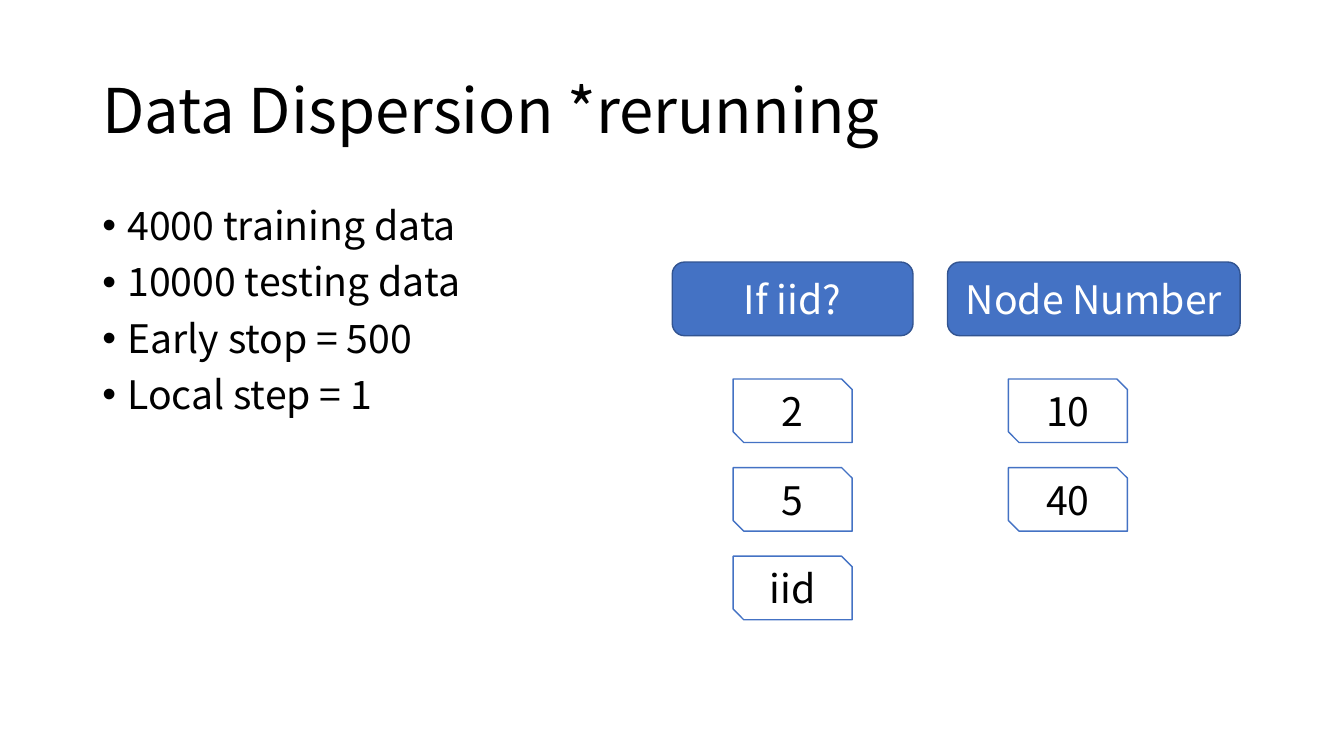
"""Build the Data Dispersion slide with its settings and experiment options."""
import lxml.etree
import pptx
import pptx.dml.color
import pptx.enum.shapes
import pptx.enum.text
import pptx.oxml.ns
import pptx.util

Pt = pptx.util.Pt
RGBColor = pptx.dml.color.RGBColor
SHAPES = pptx.enum.shapes.MSO_SHAPE
ALIGN = pptx.enum.text.PP_ALIGN
ANCHOR = pptx.enum.text.MSO_ANCHOR

FONT = "Noto Sans CJK SC"
BLACK = RGBColor(0x00, 0x00, 0x00)
WHITE = RGBColor(0xFF, 0xFF, 0xFF)
BLUE = RGBColor(0x44, 0x72, 0xC4)
DARK_BLUE = RGBColor(0x32, 0x54, 0x91)

SETTINGS = ["4000 training data", "10000 testing data", "Early stop = 500", "Local step = 1"]
OPTION_COLUMNS = [
    ("If iid?", 480.2, 172, ["2", "5", "iid"]),
    ("Node Number", 676.8, 209, ["10", "40"]),
]
HEADER_TOP, HEADER_HEIGHT = 187.2, 52.6
OPTION_INDENT, OPTION_TOP, OPTION_PITCH = 43.5, 270.7, 63.3
OPTION_WIDTH, OPTION_HEIGHT = 85, 45.4


def write_text(shape, lines, size=28, color=BLACK, align=ALIGN.LEFT, anchor=ANCHOR.MIDDLE,
               line_spacing=1.0, space_before=0, bullet=None):
    frame = shape.text_frame
    frame.word_wrap = True
    frame.auto_size = pptx.enum.text.MSO_AUTO_SIZE.NONE
    frame.vertical_anchor = anchor
    frame.text = "\n".join(lines)
    for paragraph in frame.paragraphs:
        paragraph.alignment = align
        paragraph.line_spacing = line_spacing
        paragraph.space_before = Pt(space_before)
        font = paragraph.runs[0].font
        font.name = FONT
        font.size = Pt(size)
        font.color.rgb = color
        if bullet:
            add_bullet(paragraph, bullet)


def add_bullet(paragraph, character, indent=18):
    properties = paragraph._p.get_or_add_pPr()
    properties.set("marL", str(Pt(indent)))
    properties.set("indent", str(-Pt(indent)))
    font = lxml.etree.SubElement(properties, pptx.oxml.ns.qn("a:buFont"))
    font.set("typeface", "Arial")
    mark = lxml.etree.SubElement(properties, pptx.oxml.ns.qn("a:buChar"))
    mark.set("char", character)


def add_title(slide, text):
    title = slide.shapes.title
    title.left, title.top, title.width, title.height = Pt(66), Pt(28.8), Pt(828), Pt(104.4)
    write_text(title, [text], size=44, line_spacing=0.9)


def add_bullet_list(slide, lines):
    box = slide.shapes.add_textbox(Pt(66), Pt(144), Pt(275), Pt(342.7))
    write_text(box, lines, anchor=ANCHOR.TOP, line_spacing=0.9, space_before=10, bullet="•")


def add_box(slide, kind, text, left, top, width, height, fill, line, color):
    box = slide.shapes.add_shape(kind, Pt(left), Pt(top), Pt(width), Pt(height))
    box.shadow.inherit = False
    box.fill.solid()
    box.fill.fore_color.rgb = fill
    box.line.color.rgb = line
    box.line.width = Pt(1)
    write_text(box, [text], color=color, align=ALIGN.CENTER)


def add_option_column(slide, header, left, width, options):
    add_box(slide, SHAPES.ROUNDED_RECTANGLE, header, left, HEADER_TOP, width, HEADER_HEIGHT,
            BLUE, DARK_BLUE, WHITE)
    for row, option in enumerate(options):
        add_box(slide, SHAPES.SNIP_2_DIAG_RECTANGLE, option, left + OPTION_INDENT,
                OPTION_TOP + row * OPTION_PITCH, OPTION_WIDTH, OPTION_HEIGHT,
                WHITE, BLUE, BLACK)


def main():
    presentation = pptx.Presentation()
    presentation.slide_width, presentation.slide_height = Pt(960), Pt(540)
    slide = presentation.slides.add_slide(presentation.slide_layouts.get_by_name("Title Only"))
    add_title(slide, "Data Dispersion *rerunning")
    add_bullet_list(slide, SETTINGS)
    for column in OPTION_COLUMNS:
        add_option_column(slide, *column)
    presentation.save("out.pptx")


main()
